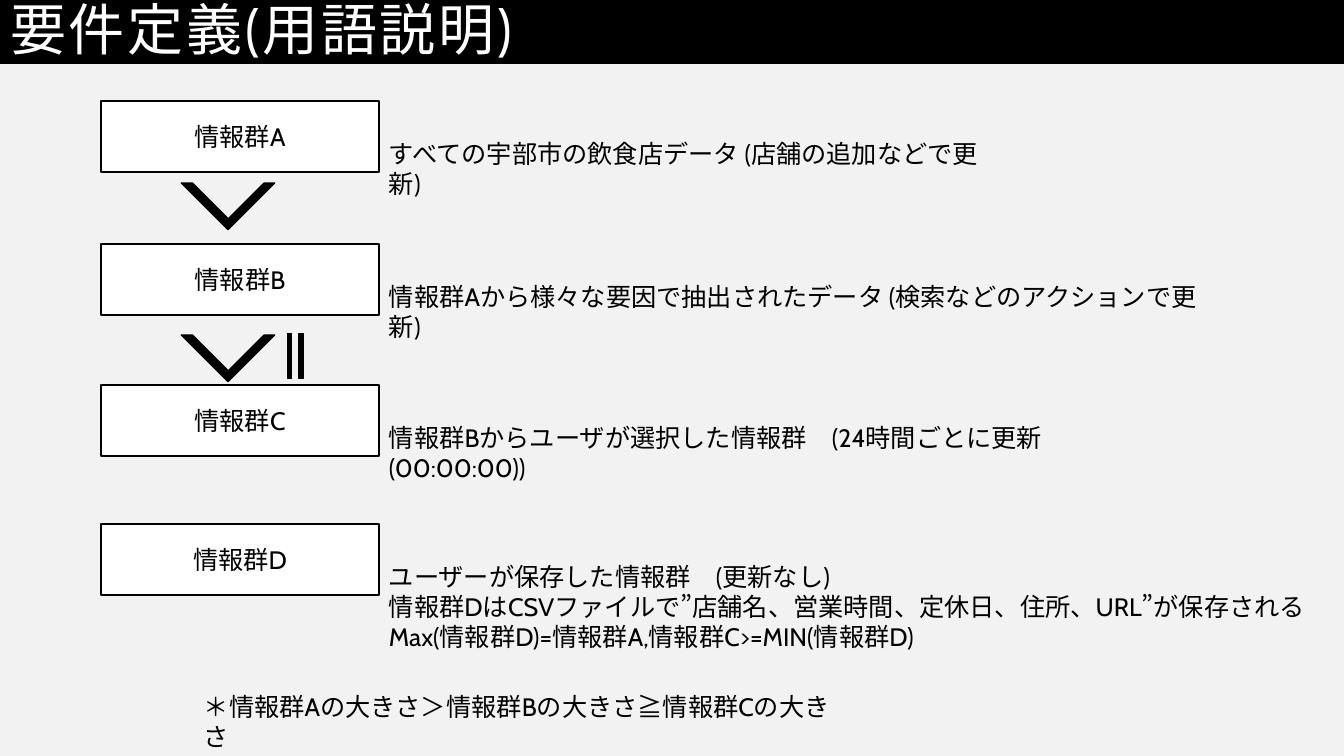
from pptx import Presentation
from pptx import util as u
from pptx.dml.color import RGBColor
from pptx.enum import lang, shapes, text

PX = 914400 / 100.8
BLACK = RGBColor(0, 0, 0)
WHITE = RGBColor(255, 255, 255)
PALE_GREY = RGBColor(0xF2, 0xF2, 0xF2)
BODY_FONT = {"name": "Cabin", "size": u.Pt(18), "language_id": lang.MSO_LANGUAGE_ID.JAPANESE}
TITLE_FONT = {**BODY_FONT, "size": u.Pt(40), "bold": False}

GROUP_LEFT, GROUP_WIDTH, GROUP_HEIGHT = 101, 278, 71
GROUPS = [
    ("情報群A", 101, 683, 50, ["すべての宇部市の飲食店データ (店舗の追加などで更新)　"]),
    ("情報群B", 244, 919, 50, ["情報群Aから様々な要因で抽出されたデータ (検索などのアクションで更新)　"]),
    ("情報群C", 385, 847, 50, ["情報群Bからユーザが選択した情報群　(24時間ごとに更新(00:00:00))　"]),
    ("情報群D", 524, 950, 10, [
        "ユーザーが保存した情報群　(更新なし)",
        "情報群DはCSVファイルで”店舗名、営業時間、定休日、住所、URL”が保存される",
        "Max(情報群D)=情報群A,情報群C>=MIN(情報群D)　",
    ]),
]
SIZE_NOTE = "＊情報群Aの大きさ＞情報群Bの大きさ≧情報群Cの大きさ　"


def px(*lengths):
    """Turn pixel lengths into EMU."""
    return [round(length * PX) for length in lengths]


def apply(target, values):
    """Set each named attribute of the target."""
    for name, value in values.items():
        setattr(target, name, value)


def write(frame, lines, font, color, alignment):
    """Fill a text frame with one formatted paragraph per line."""
    for index, line in enumerate(lines):
        paragraph = frame.add_paragraph() if index else frame.paragraphs[0]
        paragraph.alignment = alignment
        run = paragraph.add_run()
        run.text = line
        apply(run.font, font)
        run.font.color.rgb = color


def add_title(slide, box, caption):
    """Lay the title over the black band."""
    title = slide.shapes.title
    apply(title, dict(zip(("left", "top", "width", "height"), px(*box))))
    title.fill.solid()
    title.fill.fore_color.rgb = BLACK
    frame = title.text_frame
    apply(frame, {"vertical_anchor": text.MSO_ANCHOR.MIDDLE, "word_wrap": True,
                  "auto_size": text.MSO_AUTO_SIZE.NONE})
    write(frame, [caption], TITLE_FONT, WHITE, text.PP_ALIGN.LEFT)
    paragraph = frame.paragraphs[0]
    paragraph.line_spacing = 0.9
    paragraph.runs[0].font._element.set("spc", "200")


def add_outlined(slide, kind, box, fill, rotation=0, adjustments=()):
    """Add a filled preset shape with a thin black outline."""
    shape = slide.shapes.add_shape(kind, *px(*box))
    shape.shadow.inherit = False
    shape.fill.solid()
    shape.fill.fore_color.rgb = fill
    shape.line.color.rgb = BLACK
    shape.line.width = u.Pt(1)
    shape.rotation = rotation
    for index, value in enumerate(adjustments):
        shape.adjustments[index] = value
    return shape


def add_note(slide, box, lines, right_margin):
    """Add a text box that wraps inside its right margin."""
    frame = slide.shapes.add_textbox(*px(*box)).text_frame
    apply(frame, {"word_wrap": True, "auto_size": text.MSO_AUTO_SIZE.SHAPE_TO_FIT_TEXT,
                  "margin_right": px(right_margin)[0]})
    write(frame, lines, BODY_FONT, BLACK, text.PP_ALIGN.LEFT)


def add_group(slide, box, name, note_width, right_margin, lines):
    """Add a named box and its explanation to the right."""
    left, top, width, height = box
    shape = add_outlined(slide, shapes.MSO_SHAPE.RECTANGLE, box, WHITE)
    shape.text_frame.vertical_anchor = text.MSO_ANCHOR.MIDDLE
    write(shape.text_frame, [name], BODY_FONT, BLACK, text.PP_ALIGN.CENTER)
    note_box = (left + width, top + 32, note_width, 10 + 31 * len(lines))
    add_note(slide, note_box, lines, right_margin)


def add_comparisons(slide, left, tops):
    """Add the greater-than signs, the last with an equals sign."""
    for top in tops:
        add_outlined(slide, shapes.MSO_SHAPE.HALF_FRAME, (left, top, 66, 66), BLACK,
                     225, (0.118, 0.112))
    add_outlined(slide, shapes.MSO_SHAPE.MATH_EQUAL, (left + 70, tops[-1] + 23, 61, 62),
                 BLACK, 270, (0.069, 0.118))


def build_terms_slide(presentation):
    """Build the slide that explains the information groups."""
    slide = presentation.slides.add_slide(presentation.slide_layouts[5])
    slide.background.fill.solid()
    slide.background.fill.fore_color.rgb = PALE_GREY
    add_title(slide, (0, 0, 1344, 64), "要件定義(用語説明)")
    for name, top, note_width, right_margin, lines in GROUPS:
        box = (GROUP_LEFT, top, GROUP_WIDTH, GROUP_HEIGHT)
        add_group(slide, box, name, note_width, right_margin, lines)
    add_note(slide, (194, 686, 708, 41), [SIZE_NOTE], 30)
    add_comparisons(slide, 195, (150, 302))


def main():
    """Create and save the presentation."""
    presentation = Presentation()
    presentation.slide_width, presentation.slide_height = px(1344, 756)
    build_terms_slide(presentation)
    presentation.save("out.pptx")


if __name__ == "__main__":
    main()
